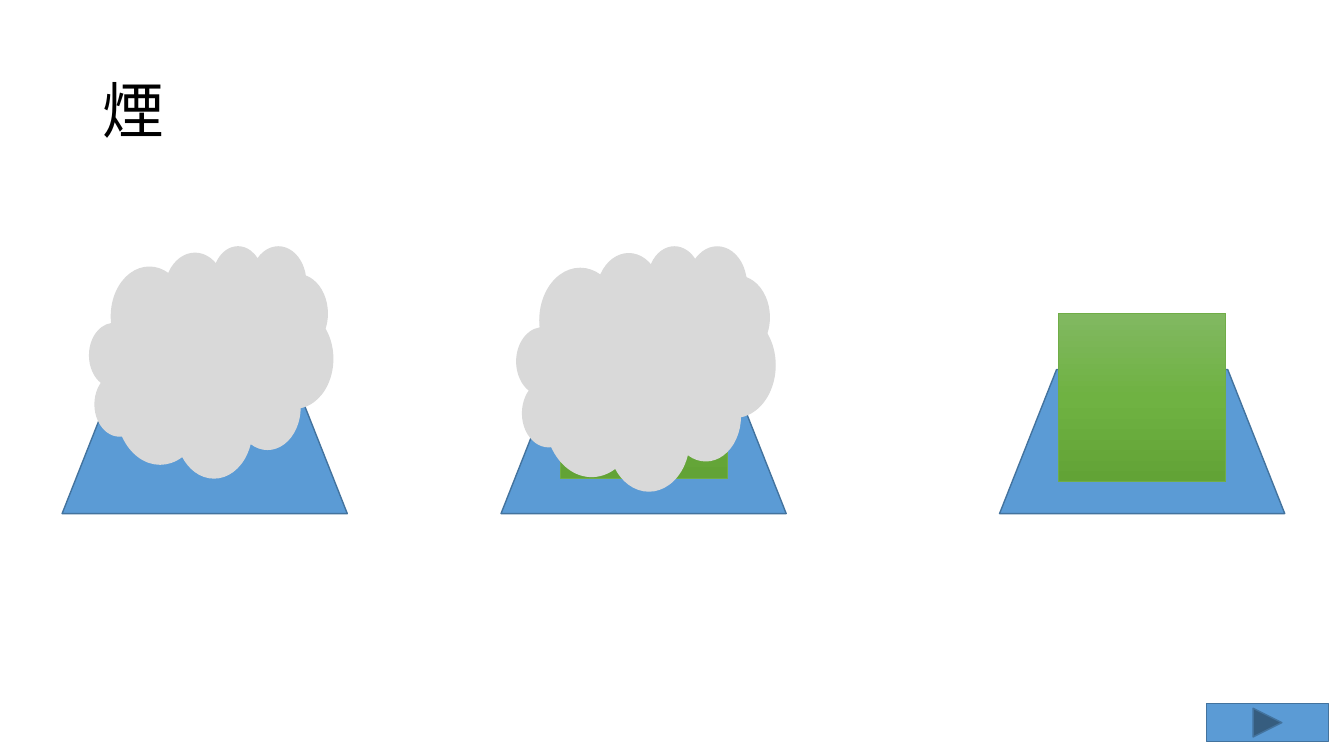
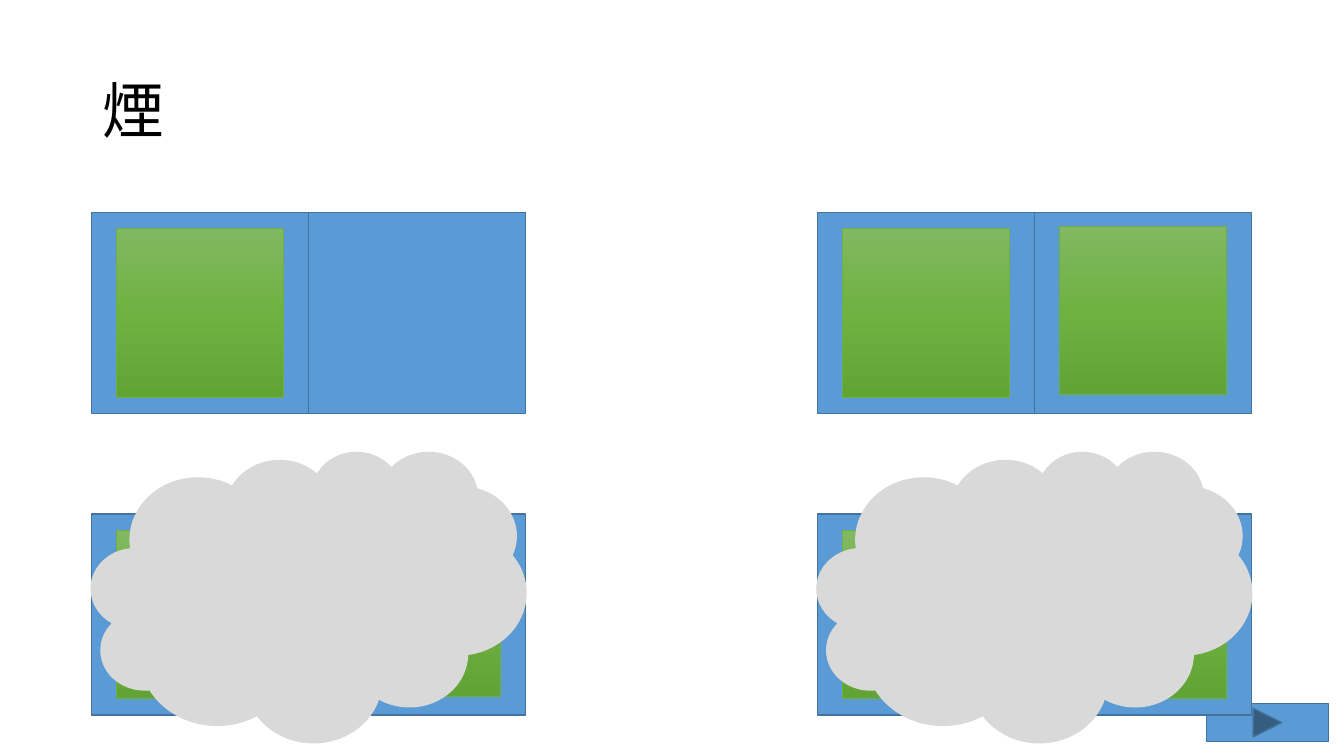
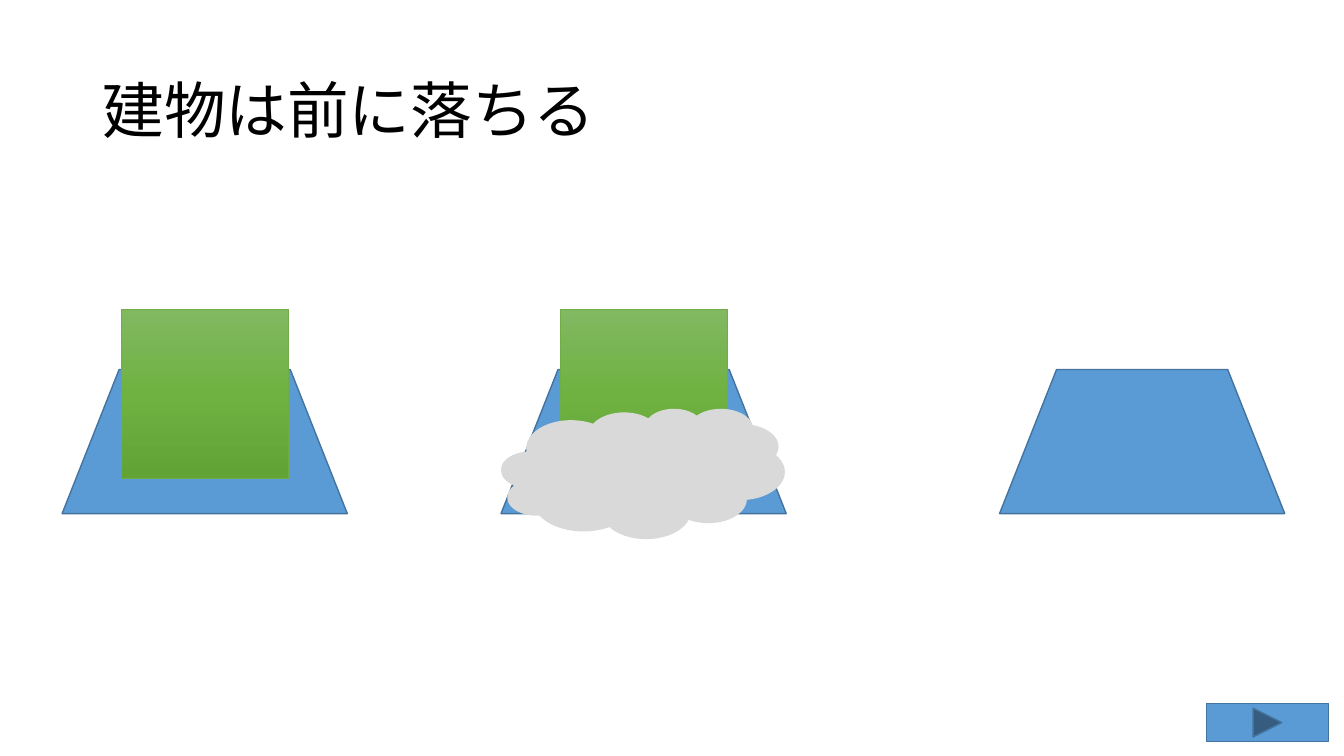
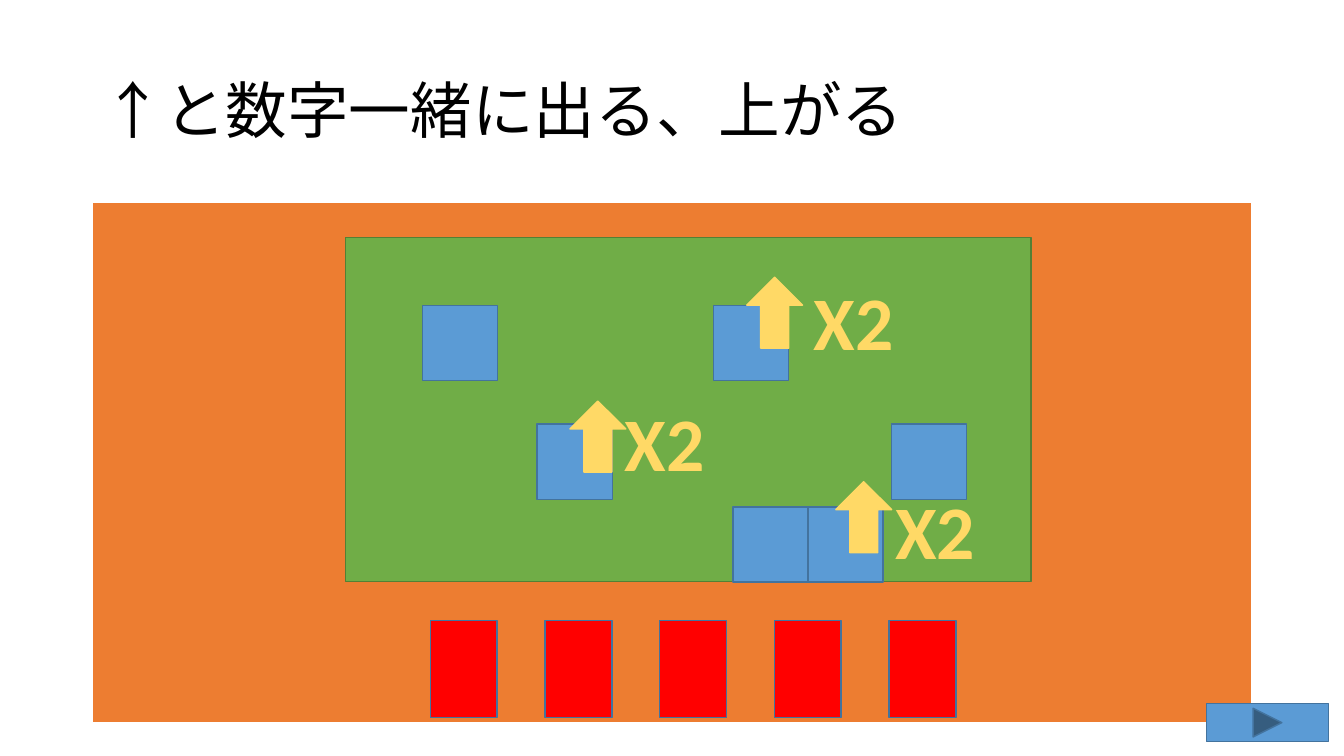
from copy import deepcopy
from dataclasses import dataclass
from typing import NamedTuple

from lxml import etree
from pptx import Presentation
from pptx.dml.color import RGBColor
from pptx.enum.lang import MSO_LANGUAGE_ID
from pptx.enum.shapes import MSO_SHAPE
from pptx.enum.text import MSO_ANCHOR, MSO_AUTO_SIZE, PP_ALIGN
from pptx.oxml.ns import qn
from pptx.slide import Slide
from pptx.util import Inches, Pt

RECT = MSO_SHAPE.RECTANGLE
TRAP = MSO_SHAPE.FLOWCHART_MANUAL_OPERATION
CLOUD = MSO_SHAPE.CLOUD_CALLOUT
ARROW = MSO_SHAPE.UP_ARROW
NEXT = MSO_SHAPE.ACTION_BUTTON_FORWARD_OR_NEXT
MIDDLE = MSO_ANCHOR.MIDDLE
FIT, FIXED = MSO_AUTO_SIZE.SHAPE_TO_FIT_TEXT, MSO_AUTO_SIZE.NONE
LEFT, CENTER = PP_ALIGN.LEFT, PP_ALIGN.CENTER
JAPAN = MSO_LANGUAGE_ID.JAPANESE

WIDTH, HEIGHT = Inches(13.33), Inches(7.5)
COLS, ROWS = 32, 18
TITLE_ONLY = 5


class Look(NamedTuple):
    fills: tuple[str, ...]
    line: str
    weight: float = 1


@dataclass(frozen=True)
class Theme:
    font: str = "Calibri"
    title: int = 44
    label: int = 54
    ink: str = "000000"
    gold: str = "FFD966"
    edge: str = "525252"
    blue: Look = Look(("5B9BD5",), "43739E")
    leaf: Look = Look(("81B861", "6FB242", "62A336"), "70AD47", 0.5)
    smoke: Look = Look(("D9D9D9",), "D9D9D9")
    board: Look = Look(("ED7D31",), "FFFFFF", 1.5)
    field: Look = Look(("70AD47",), "538035")
    card: Look = Look(("FF0000",), "43739E")
    boost: Look = Look(("FFD966",), "FFD966")


class Box(NamedTuple):
    x: float
    y: float
    w: float
    h: float


class Item(NamedTuple):
    form: MSO_SHAPE
    box: Box
    look: Look


THEME = Theme()
HEAD = Box(2.2, 0.96, 27.6, 3.48)
BASE_XS = (1.48, 11.93, 23.8)
BASE_Y, BASE_W, BASE_H = 8.8, 6.79, 3.43
HOUSE_W, HOUSE_H = 3.98, 4.01
PLOT_W, PLOT_H = 5.17, 4.78
BLOCK = 1.79
BUTTON = Item(NEXT, Box(28.73, 16.75, 2.9, 0.91), THEME.blue)


def place(box: Box) -> tuple[int, int, int, int]:
    cell_w, cell_h = WIDTH / COLS, HEIGHT / ROWS
    return (round(box.x * cell_w), round(box.y * cell_h),
            round(box.w * cell_w), round(box.h * cell_h))


def color(code: str) -> RGBColor:
    return RGBColor.from_string(code)


def draw(slide: Slide, item: Item) -> None:
    shape = slide.shapes.add_shape(item.form, *place(item.box))
    shape.shadow.inherit = False
    look, props = item.look, shape._element.spPr
    if len(look.fills) == 1:
        shape.fill.solid()
        shape.fill.fore_color.rgb = color(look.fills[0])
    else:
        shape.fill.gradient()
        shape.fill.gradient_angle = 270
        stops = props.find(".//" + qn("a:gsLst"))
        stops.append(deepcopy(stops[0]))
        for i, (stop, code) in enumerate(zip(shape.fill.gradient_stops, look.fills)):
            stop.position = i / (len(look.fills) - 1)
            stop.color.rgb = color(code)
    shape.line.color.rgb = color(look.line)
    shape.line.width = Pt(look.weight)
    if item.form == CLOUD:
        shape.adjustments[0], shape.adjustments[1] = -0.09, 0.08
    if item.form == TRAP:
        props.find(qn("a:xfrm")).set("flipV", "1")


def start(deck: Presentation, title: str) -> Slide:
    slide = deck.slides.add_slide(deck.slide_layouts[TITLE_ONLY])
    head = slide.shapes.title
    head.left, head.top, head.width, head.height = place(HEAD)
    frame = head.text_frame
    frame.text = title
    frame.auto_size = FIXED
    frame.vertical_anchor = MIDDLE
    para = frame.paragraphs[0]
    para.alignment, para.line_spacing = LEFT, 0.9
    font = para.font
    font.name, font.size = THEME.font, Pt(THEME.title)
    font.color.rgb = color(THEME.ink)
    font.language_id = JAPAN
    return slide


def label(slide: Slide, text: str, box: Box) -> None:
    frame = slide.shapes.add_textbox(*place(box)).text_frame
    frame.text = text
    frame.word_wrap = False
    frame.auto_size = FIT
    para = frame.paragraphs[0]
    para.alignment = CENTER
    font = para.font
    font.name, font.size, font.bold = THEME.font, Pt(THEME.label), True
    font.color.rgb = color(THEME.gold)
    line = etree.Element(qn("a:ln"), w=str(Pt(1)))
    fill = etree.SubElement(line, qn("a:solidFill"))
    etree.SubElement(fill, qn("a:srgbClr"), val=THEME.edge)
    para._p.find(".//" + qn("a:defRPr")).insert(0, line)


def bases() -> list[Item]:
    return [Item(TRAP, Box(x, BASE_Y, BASE_W, BASE_H), THEME.blue) for x in BASE_XS]


def house(x: float, y: float, w: float = HOUSE_W) -> Item:
    return Item(RECT, Box(x, y, w, HOUSE_H), THEME.leaf)


def tower(spot: int, y: float = 7.37) -> Item:
    return house(BASE_XS[spot] + (BASE_W - HOUSE_W) / 2, y)


def cloud(x: float, y: float, w: float, h: float) -> Item:
    return Item(CLOUD, Box(x, y, w, h), THEME.smoke)


def plots(x: float, y: float) -> list[Item]:
    return [Item(RECT, Box(x + i * PLOT_W, y, PLOT_W, PLOT_H), THEME.blue)
            for i in range(2)]


def smoke_front() -> list[Item]:
    return [*bases(), cloud(2.14, 5.86, 5.78, 5.5), tower(1),
            cloud(12.31, 5.86, 6.14, 5.81), tower(2, 7.46), BUTTON]


def smoke_above() -> list[Item]:
    left, right, top, low = 2.18, 19.46, 5.06, 12.24
    pad_x, pad_y = (PLOT_W - HOUSE_W) / 2, (PLOT_H - HOUSE_H) / 2
    items = [BUTTON]
    for x, y, kind in ((left, top, "one"), (right, top, "two"),
                       (left, low, "two"), (right, low, "wide")):
        items += plots(x, y)
        wide = HOUSE_W + PLOT_W * (kind == "wide")
        items.append(house(x + pad_x, y + pad_y, wide))
        if kind == "two":
            items.append(house(x + PLOT_W + pad_x, y + pad_y - 0.06))
        if y == low:
            items.append(cloud(x, 10.75, 2 * PLOT_W, 6.91))
    return items


def fall_front() -> list[Item]:
    return [*bases(), tower(1), BUTTON, tower(0), cloud(11.95, 9.74, 6.72, 3.07)]


def game() -> list[Item]:
    cards = [Item(RECT, Box(10.25 + i * 2.73, 14.78, 1.59, 2.31), THEME.card)
             for i in range(5)]
    spots = ((10.06, 7.27), (21.22, 10.1), (16.99, 7.27), (12.79, 10.1),
             (17.45, 12.07), (17.45 + BLOCK, 12.07))
    blocks = [Item(RECT, Box(x, y, BLOCK, BLOCK), THEME.blue) for x, y in spots]
    arrows = [Item(ARROW, Box(x, y, 1.33, 1.69), THEME.boost)
              for x, y in ((13.57, 9.55), (17.78, 6.6), (19.9, 11.47))]
    return [Item(RECT, Box(2.2, 4.8, 27.6, 12.41), THEME.board), *cards,
            Item(RECT, Box(8.23, 5.66, 16.32, 8.18), THEME.field), *blocks, *arrows]


def main() -> None:
    deck = Presentation()
    deck.slide_width, deck.slide_height = WIDTH, HEIGHT
    for title, items in (("煙", smoke_front()), ("煙", smoke_above()),
                         ("建物は前に落ちる", fall_front()),
                         ("↑と数字一緒に出る、上がる", game())):
        slide = start(deck, title)
        for item in items:
            draw(slide, item)
    for x, y in ((14.45, 9.31), (18.96, 6.43), (20.9, 11.4)):
        label(slide, "X2", Box(x, y, 2.74, 2.42))
    draw(slide, BUTTON)
    deck.save("out.pptx")


if __name__ == "__main__":
    main()
